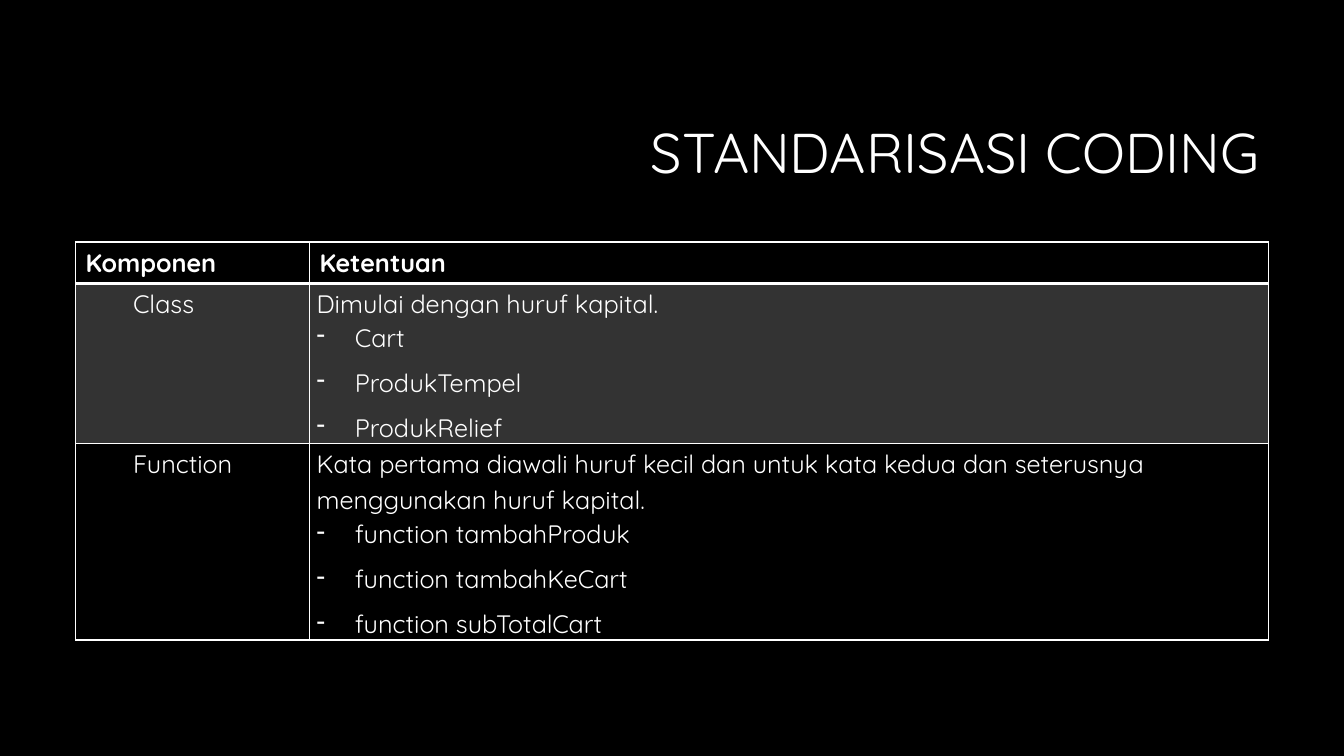
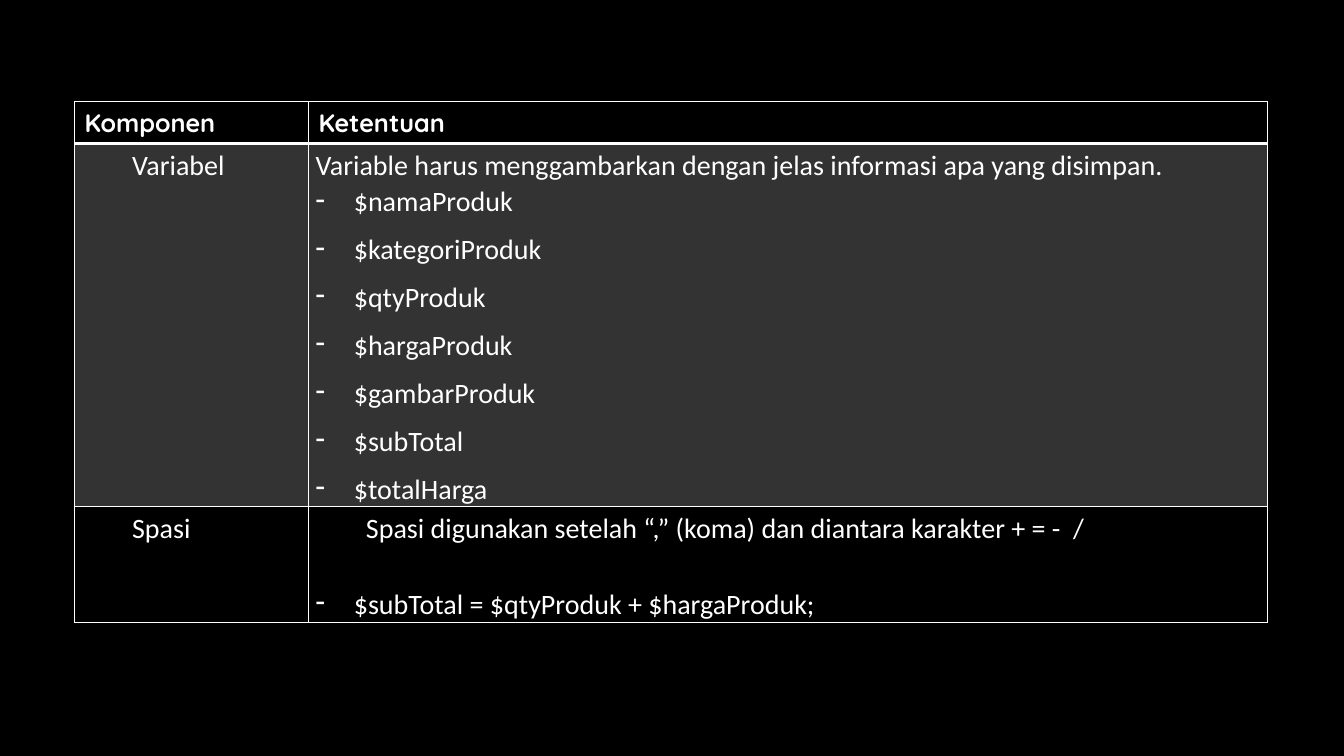
from dataclasses import dataclass

from lxml.etree import SubElement
from pptx import Presentation
from pptx.dml.color import RGBColor as RGB
from pptx.enum.text import MSO_ANCHOR as ANCHOR, PP_ALIGN as ALIGN
from pptx.oxml.ns import qn
from pptx.util import Inches, Pt


@dataclass(frozen=True)
class Theme:
    ink: str = "FFFFFF"
    ground: str = "000000"
    band: str = "333333"
    font: str = "Quicksand"
    code_font: str = "Calibri"
    title: int = 40
    head: int = 18
    text: int = 18
    large_text: int = 20


class Deck:
    """Holds the theme and the current slide, and adds each kind of element."""

    def __init__(self, theme):
        self.theme = theme
        self.prs = Presentation()
        self.prs.slide_width, self.prs.slide_height = Inches(13.33), Inches(7.5)
        fill = self.prs.slide_master.background.fill
        fill.solid()
        fill.fore_color.rgb = RGB.from_string(theme.ground)
        self.s = None

    def slide(self, title=None):
        self.s = self.prs.slides.add_slide(self.prs.slide_layouts[5 if title else 6])
        if title:
            self.title(title)
        else:
            for ph in list(self.s.placeholders):
                ph.element.getparent().remove(ph.element)

    def title(self, text):
        sp = self.s.shapes.title
        sp.left, sp.top, sp.width, sp.height = map(Inches, (3.17, 0.84, 9.42, 1.41))
        tf = sp.text_frame
        tf.vertical_anchor = ANCHOR.MIDDLE
        p = tf.paragraphs[0]
        p.text, p.alignment, p.line_spacing = text, ALIGN.RIGHT, 0.9
        self.style(p, self.theme.font, self.theme.title)

    def style(self, p, font, size, bold=False):
        f = p.font
        f.name, f.size, f.bold = font, Pt(size), bold
        f.color.rgb = RGB.from_string(self.theme.ink)

    def borders(self, cell, top=1, bottom=1):
        tcPr = cell._tc.get_or_add_tcPr()
        for side, width in (("L", 1), ("R", 1), ("T", top), ("B", bottom)):
            ln = SubElement(tcPr, qn(f"a:ln{side}"), w=str(Pt(width)))
            fill = SubElement(ln, qn("a:solidFill"))
            SubElement(fill, qn("a:srgbClr"), val=self.theme.ink)

    def fill(self, cell, color):
        cell.fill.solid()
        cell.fill.fore_color.rgb = RGB.from_string(color)

    def indent(self, p, left, first=0):
        pPr = p._p.get_or_add_pPr()
        pPr.set("marL", str(Inches(left)))
        pPr.set("indent", str(Inches(first)))
        return pPr

    def body_cell(self, cell, font, size, text, examples=(), left=0, gap=0):
        cell.margin_left = cell.margin_right = Inches(0.07)
        cell.margin_top = cell.margin_bottom = 0
        tf = cell.text_frame
        p = tf.paragraphs[0]
        p.text, p.line_spacing, p.space_after = text, 1.15, Pt(gap)
        self.indent(p, left)
        self.style(p, font, size)
        for example in examples:
            p = tf.add_paragraph()
            p.text, p.line_spacing, p.space_after = example, 1.07, Pt(8)
            SubElement(self.indent(p, 0.38, -0.38), qn("a:buChar"), char="-")
            self.style(p, font, size)

    def table(self, left, top, heights, rules, font, size):
        widths = (2.32, 9.51)
        frame = self.s.shapes.add_table(
            len(heights), len(widths), Inches(left), Inches(top),
            Inches(sum(widths)), Inches(sum(heights)))
        tbl = frame.table
        tbl.first_row = tbl.horz_banding = False
        for col, width in zip(tbl.columns, widths):
            col.width = Inches(width)
        for row, height in zip(tbl.rows, heights):
            row.height = Inches(height)
        for cell, text in zip(tbl.rows[0].cells, ("Komponen", "Ketentuan")):
            p = cell.text_frame.paragraphs[0]
            p.text = text
            self.style(p, self.theme.font, self.theme.head, True)
            self.borders(cell, bottom=2)
            self.fill(cell, self.theme.ground)
        for i, (name, rule) in enumerate(rules, 1):
            for cell in tbl.rows[i].cells:
                self.borders(cell, top=2 if i == 1 else 1)
                self.fill(cell, self.theme.band if i % 2 else self.theme.ground)
            self.body_cell(tbl.cell(i, 0), font, size, name, left=0.5)
            self.body_cell(tbl.cell(i, 1), font, size, **rule)


NAMING = [
    ("Class", dict(
        text="Dimulai dengan huruf kapital.",
        examples=["Cart", "ProdukTempel", "ProdukRelief"])),
    ("Function", dict(
        text="Kata pertama diawali huruf kecil dan untuk kata kedua dan "
             "seterusnya menggunakan huruf kapital.",
        examples=["function tambahProduk", "function tambahKeCart",
                  "function subTotalCart"])),
]
VARIABLES = [
    ("Variabel", dict(
        text="Variable harus menggambarkan dengan jelas informasi apa yang disimpan.",
        examples=["$namaProduk", "$kategoriProduk", "$qtyProduk", "$hargaProduk",
                  "$gambarProduk", "$subTotal", "$totalHarga"])),
    ("Spasi", dict(
        text="Spasi digunakan setelah “,” (koma) dan diantara karakter + = -  /",
        examples=["$subTotal = $qtyProduk + $hargaProduk;"], left=0.5, gap=28)),
]


def main():
    theme = Theme()
    deck = Deck(theme)
    deck.slide("STANDARISASI CODING")
    deck.table(0.75, 2.4, (0.41, 1.58, 1.94), NAMING, theme.font, theme.text)
    deck.slide()
    deck.table(0.74, 1.01, (0.41, 3.6, 1.13), VARIABLES,
               theme.code_font, theme.large_text)
    deck.prs.save("out.pptx")


if __name__ == "__main__":
    main()
